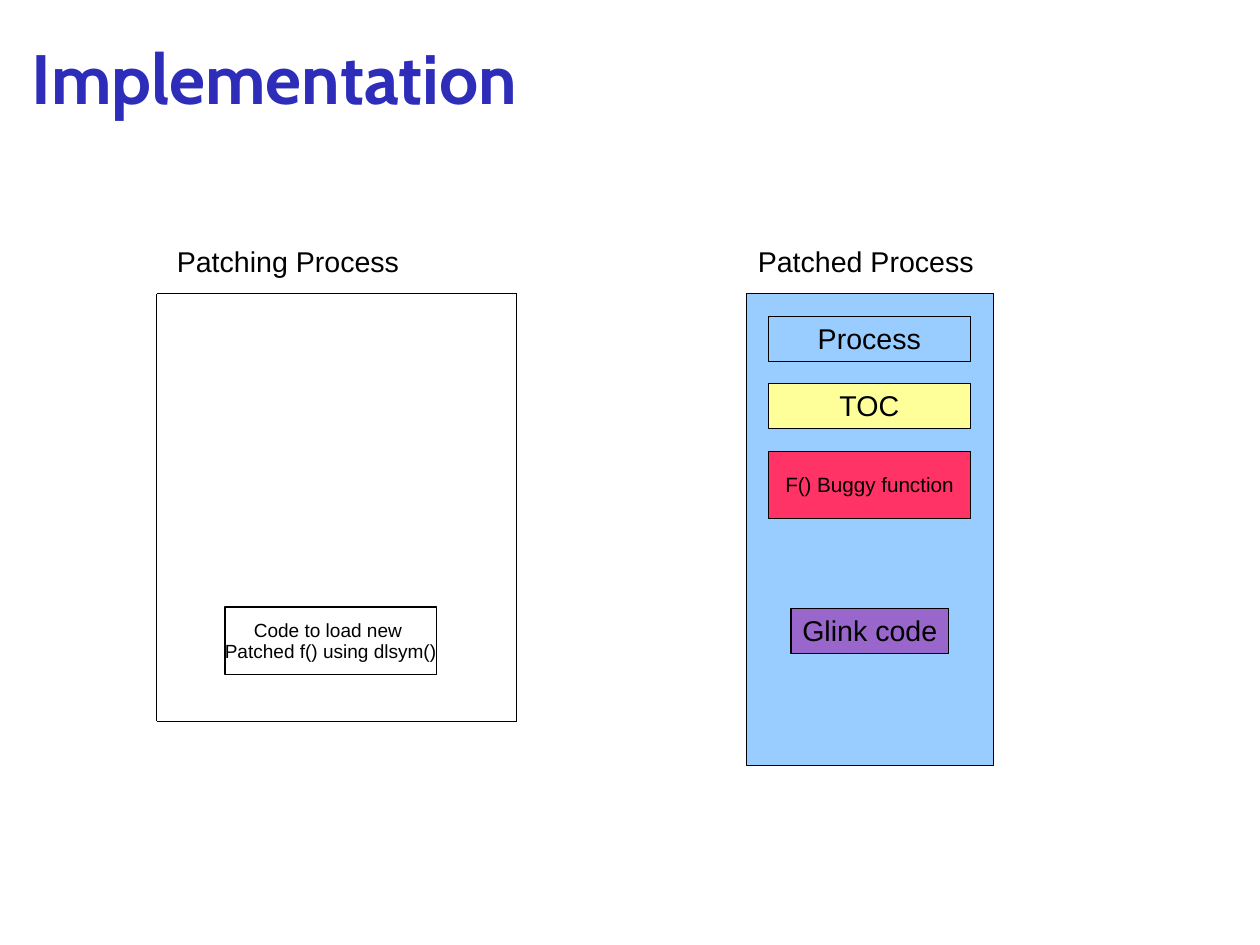
from dataclasses import dataclass

from lxml import etree
from pptx import Presentation
from pptx.dml.color import RGBColor
from pptx.enum.shapes import MSO_CONNECTOR, MSO_SHAPE
from pptx.enum.text import MSO_ANCHOR, MSO_AUTO_SIZE, PP_ALIGN
from pptx.oxml.ns import qn
from pptx.util import Cm, Pt

RECT = MSO_SHAPE.RECTANGLE
STRAIGHT = MSO_CONNECTOR.STRAIGHT
TOP, MIDDLE = MSO_ANCHOR.TOP, MSO_ANCHOR.MIDDLE
LEFT, CENTER = PP_ALIGN.LEFT, PP_ALIGN.CENTER
NO_AUTOFIT = MSO_AUTO_SIZE.NONE

COLORS = {
    "title": "2D2DB9",
    "black": "000000",
    "white": "FFFFFF",
    "blue": "99CCFF",
    "yellow": "FFFF99",
    "red": "FF3366",
    "purple": "9966CC",
}
LINE_WIDTH = Pt(0.75)


@dataclass
class Box:
    left: float
    top: float
    width: float
    height: float
    fill: str
    text: str = ""
    size: int = 18


@dataclass
class Label:
    left: float
    width: float
    text: str


PATCHED_PROCESS = [
    Box(16.59, 6.53, 5.49, 10.49, "blue"),
    Box(17.07, 7.04, 4.5, 1, "blue", "Process"),
    Box(17.07, 10.03, 4.5, 1.5, "red", "F() Buggy function", 13),
    Box(17.58, 13.53, 3.5, 1, "purple", "Glink code"),
    Box(17.07, 8.53, 4.5, 1, "yellow", "TOC"),
]
LOADER = Box(5, 13.49, 4.7, 1.5, "white",
             "Code to load new \nPatched f() using dlsym()", 12)
LABELS = [
    Label(16.59, 5.31, "Patched Process"),
    Label(3.68, 5.44, "Patching Process"),
]
LABEL_TOP, LABEL_HEIGHT = 5.33, 0.97
FRAME_CORNERS = [(3.48, 6.53), (11.48, 6.53), (11.48, 16.03), (3.48, 16.03)]


def rgb(name: str) -> RGBColor:
    return RGBColor.from_string(COLORS[name])


def format_text(tf, size: int, align, anchor) -> None:
    tf.word_wrap = False
    tf.auto_size = NO_AUTOFIT
    tf.vertical_anchor = anchor
    tf.margin_left = tf.margin_right = Cm(0.25)
    tf.margin_top, tf.margin_bottom = Cm(0.17), Cm(0.13)
    for p in tf.paragraphs:
        p.alignment = align
        p.line_spacing = 0.93
        for r in p.runs:
            r.font.name = "Arial"
            r.font.size = Pt(size)
            r.font.color.rgb = rgb("black")


def add_box(shapes, box: Box) -> None:
    s = shapes.add_shape(RECT, Cm(box.left), Cm(box.top),
                         Cm(box.width), Cm(box.height))
    s.shadow.inherit = False
    s.fill.solid()
    s.fill.fore_color.rgb = rgb(box.fill)
    s.line.color.rgb = rgb("black")
    s.line.width = LINE_WIDTH
    if box.text:
        s.text_frame.text = box.text
        format_text(s.text_frame, box.size, CENTER, MIDDLE)


def add_label(shapes, label: Label) -> None:
    s = shapes.add_textbox(Cm(label.left), Cm(LABEL_TOP),
                           Cm(label.width), Cm(LABEL_HEIGHT))
    s.text_frame.text = label.text
    format_text(s.text_frame, 18, LEFT, TOP)


def add_line(shapes, start: tuple[float, float],
             end: tuple[float, float]) -> None:
    s = shapes.add_connector(STRAIGHT, Cm(start[0]), Cm(start[1]),
                             Cm(end[0]), Cm(end[1]))
    s.line.color.rgb = rgb("black")
    s.line.width = LINE_WIDTH
    etree.SubElement(s._element.spPr, qn("a:effectLst"))


def set_title(s, text: str) -> None:
    s.left, s.top, s.width, s.height = Cm(0.71), Cm(0), Cm(25.2), Cm(3.5)
    tf = s.text_frame
    tf.text = text
    tf.word_wrap = True
    tf.auto_size = NO_AUTOFIT
    tf.vertical_anchor = MIDDLE
    tf.margin_left = tf.margin_right = tf.margin_bottom = 0
    tf.margin_top = Cm(0.05)
    p = tf.paragraphs[0]
    p.alignment = LEFT
    p.line_spacing = 0.97
    font = p.runs[0].font
    font.name, font.size, font.bold = "Cabin", Pt(44), True
    font.color.rgb = rgb("title")


def main() -> None:
    prs = Presentation()
    prs.slide_width, prs.slide_height = Cm(28), Cm(21)
    slide = prs.slides.add_slide(prs.slide_layouts[5])
    shapes = slide.shapes

    set_title(shapes.title, "Implementation")

    # Patched process and its parts
    patched = shapes.add_group_shape()
    for box in PATCHED_PROCESS:
        add_box(patched.shapes, box)

    # Headings above both processes
    for label in LABELS:
        add_label(shapes, label)

    # Patching process: loader code inside an open frame of lines
    add_box(shapes, LOADER)
    frame = shapes.add_group_shape()
    for i, corner in enumerate(FRAME_CORNERS):
        add_line(frame.shapes, FRAME_CORNERS[i - 1], corner)

    prs.save("out.pptx")


if __name__ == "__main__":
    main()
